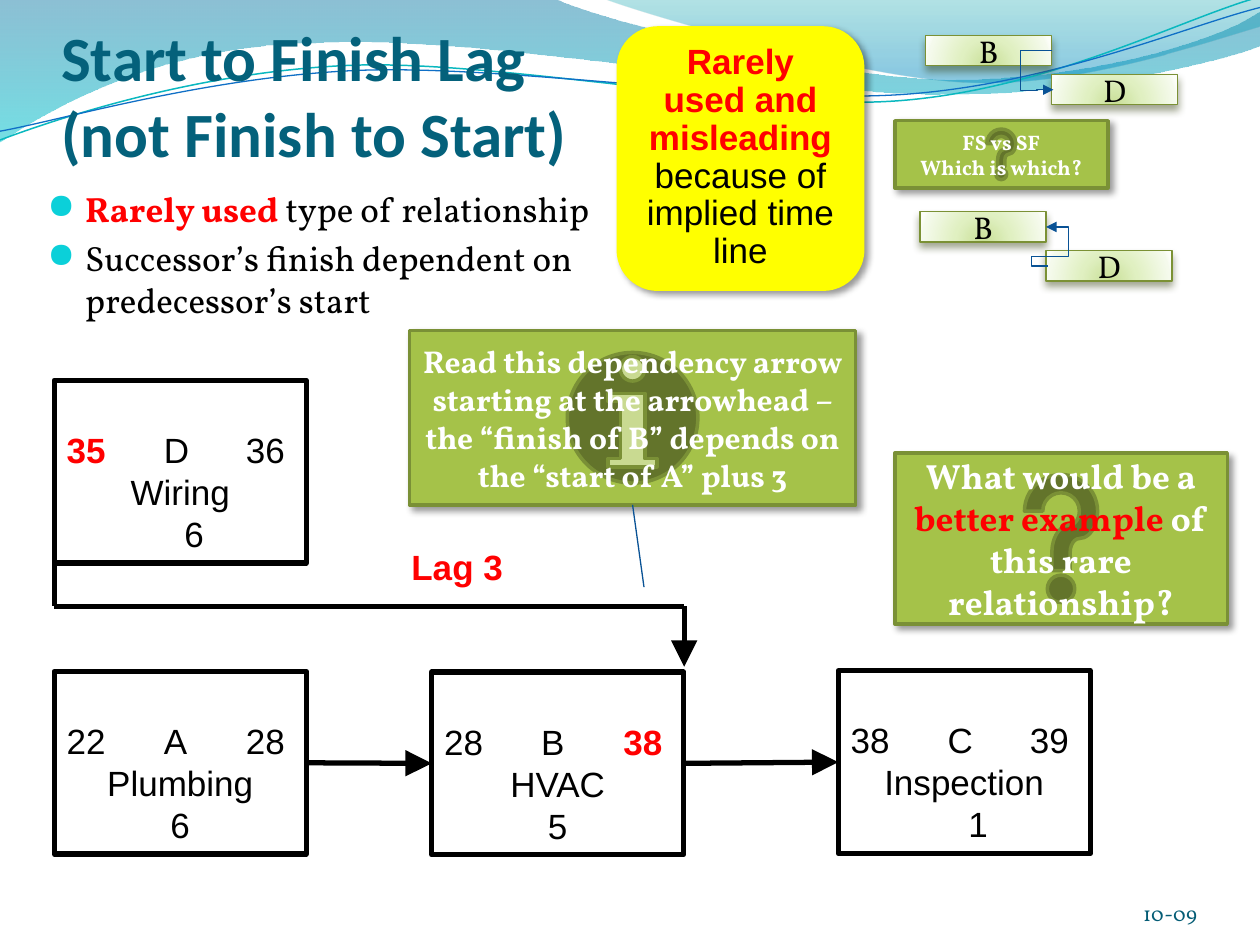
import dataclasses

import pptx
import pptx.dml.color
import pptx.enum.shapes
import pptx.enum.text
import pptx.oxml.ns
import pptx.util
from lxml import etree

Pt = pptx.util.Pt
qn = pptx.oxml.ns.qn
Shapes = pptx.enum.shapes.MSO_SHAPE
Connectors = pptx.enum.shapes.MSO_CONNECTOR
Align = pptx.enum.text.PP_ALIGN
Anchor = pptx.enum.text.MSO_ANCHOR


@dataclasses.dataclass(frozen=True)
class Theme:
    title: str = "04617B"
    number: str = "045C75"
    black: str = "000000"
    white: str = "FFFFFF"
    red: str = "FF0000"
    yellow: str = "FFFF00"
    green: str = "A5C249"
    green_edge: str = "7A9036"
    bar_edge: str = "7B9135"
    bar_shadow: str = "3A4519"
    bullet: str = "0BD0D9"
    thin_line: str = "095295"
    curve_teal: str = "0AB8BF"
    curve_blue: str = "0F6FC6"
    heading_font: str = "Calibri"
    body_font: str = "Vollkorn"
    plain_font: str = "Arial"
    heading: int = 36
    body: int = 20
    label: int = 18
    small: int = 12


THEME = Theme()
NODE_WIDTH, NODE_HEIGHT = 144, 104.4
# Gradient stops: position, colour, opacity
WAVE_LEFT = [(0, "0074A1", 45), (100, "00C6CF", 55)]
WAVE_RIGHT = [(0, "00A1A9", 30), (80, "008BBF", 45)]
BAR_STOPS = [(0, "C9DF97", 100), (43, "E0F0C1", 100), (93, "F5FAEC", 100), (100, "FCFEF8", 100)]


def rgb(value):
    return pptx.dml.color.RGBColor.from_string(value)


def child(parent, tag, **attributes):
    return etree.SubElement(parent, qn(tag), {k: str(v) for k, v in attributes.items()})


def set_gradient(shape, stops, radial=False):
    shape.fill.gradient()
    gradient = shape._element.spPr.find(qn("a:gradFill"))
    for part in list(gradient):
        gradient.remove(part)
    stop_list = child(gradient, "a:gsLst")
    for position, color, opacity in stops:
        stop = child(stop_list, "a:gs", pos=position * 1000)
        child(child(stop, "a:srgbClr", val=color), "a:alpha", val=opacity * 1000)
    if radial:
        circle = child(gradient, "a:path", path="circle")
        child(circle, "a:fillToRect", l=50000, t=130000, r=50000, b=-30000)
    else:
        child(gradient, "a:lin", ang=90 * 60000, scaled=1)


def set_shadow(shape, color=THEME.black, opacity=40, blur=4, angle=45):
    effects = shape._element.spPr.find(qn("a:effectLst"))
    shadow = child(effects, "a:outerShdw", blurRad=Pt(blur), dist=Pt(3),
                   dir=angle * 60000, algn="tl", rotWithShape=0)
    child(child(shadow, "a:srgbClr", val=color), "a:alpha", val=opacity * 1000)


def set_line(shape, color, width):
    shape.line.color.rgb = rgb(color)
    shape.line.width = Pt(width)


def write(box, paragraphs, font, size, align=Align.LEFT, anchor=Anchor.TOP, margins=None):
    """Fill a box; each paragraph is a list of (text, colour, bold)."""
    frame = box.text_frame
    frame.word_wrap = True
    frame.vertical_anchor = anchor
    if margins:
        (frame.margin_left, frame.margin_top,
         frame.margin_right, frame.margin_bottom) = map(Pt, margins)
    for index, spans in enumerate(paragraphs):
        para = frame.paragraphs[0] if index == 0 else frame.add_paragraph()
        para.alignment = align
        para.font.name, para.font.size = font, Pt(size)
        for text, color, bold in spans:
            if text == "\n":
                para.add_line_break()
                continue
            span = para.add_run()
            span.text = text
            span.font.color.rgb, span.font.bold = rgb(color), bold
    return frame.paragraphs


def add_text(page, place, *content, **options):
    return write(page.shapes.add_textbox(*map(Pt, place)), *content, **options)


def add_box(page, kind, place, edge=None, width=1, fill=None):
    shape = page.shapes.add_shape(kind, *map(Pt, place))
    shape.shadow.inherit = False
    if fill:
        shape.fill.solid()
        shape.fill.fore_color.rgb = rgb(fill)
    else:
        shape.fill.background()
    if edge:
        set_line(shape, edge, width)
    else:
        shape.line.fill.background()
    return shape


def add_node(page, left, top, early, name, late, task, days, critical="", shift=0):
    node = add_box(page, Shapes.RECTANGLE, (left, top, NODE_WIDTH, NODE_HEIGHT), THEME.black, 3)
    dates = [(text, THEME.red if text == critical else THEME.black, text == critical)
             for text in (early, f"\t{name}\t", late)]
    paras = write(node, [dates, [(task, THEME.black, False)], [(days, THEME.black, False)]],
                  THEME.plain_font, THEME.body, Align.CENTER, margins=(7.2, 27.5, 7.2, 3.6))
    paras[0].alignment = Align.LEFT
    tabs = etree.Element(qn("a:tabLst"))
    for position in (55.5, 102.5):
        child(tabs, "a:tab", pos=Pt(position), algn="l")
    paras[0]._p.get_or_add_pPr().insert(0, tabs)
    if shift:
        paras[2]._p.get_or_add_pPr().set("marL", str(Pt(shift)))
    return node


def add_bar(page, left, top, name):
    bar = add_box(page, Shapes.RECTANGLE, (left, top, 72, 17.3), THEME.bar_edge, 0.75)
    set_gradient(bar, BAR_STOPS, radial=True)
    set_shadow(bar, THEME.bar_shadow, 48, 4.5, 90)
    write(bar, [[(name, THEME.black, False)]], THEME.body_font, THEME.label,
          Align.CENTER, Anchor.MIDDLE)


def add_button(page, kind, place, paragraphs, size):
    button = add_box(page, kind, place, THEME.green_edge, 2, THEME.green)
    set_shadow(button)
    write(button, paragraphs, THEME.body_font, size, Align.CENTER, Anchor.MIDDLE)


def add_line(page, start, end, color=THEME.black, width=3, arrow=None, bends=None):
    kind = Connectors.ELBOW if bends else Connectors.STRAIGHT
    line = page.shapes.add_connector(kind, *map(Pt, start + end))
    set_line(line, color, width)
    if arrow:
        size = "med" if bends else "lg"
        child(line.line._get_or_add_ln(), arrow, type="triangle", w=size, len=size)
    child(line._element.spPr, "a:effectLst")
    if bends:
        preset = line._element.spPr.find(qn("a:prstGeom"))
        preset.set("prst", "bentConnector5")
        guides = preset.find(qn("a:avLst"))
        for number, bend in enumerate(bends, 1):
            child(guides, "a:gd", name=f"adj{number}", fmla=f"val {round(bend * 100000)}")
    return line


def join(page, left_node, right_node):
    line = add_line(page, (0, 0), (1, 1), arrow="a:tailEnd")
    line.begin_connect(left_node, 3)
    line.end_connect(right_node, 1)


def add_curve(page, start, segments, closed=False):
    """Draw straight (one point) and cubic (three points) segments."""
    points = [(Pt(x), Pt(y)) for segment in segments for x, y in segment]
    builder = page.shapes.build_freeform(Pt(start[0]), Pt(start[1]), scale=1.0)
    builder.add_line_segments(points, close=closed)
    curve = builder.convert_to_shape()
    curve.shadow.inherit = False
    # Gather each run of three points into one cubic segment
    steps = iter(list(curve._element.spPr.iter(qn("a:lnTo"))))
    for segment in segments:
        group = [next(steps) for _ in segment]
        if len(group) == 3:
            cubic = etree.Element(qn("a:cubicBezTo"))
            group[0].addprevious(cubic)
            for step in group:
                cubic.append(step[0])
                step.getparent().remove(step)
    return curve


def add_waves(page):
    left = add_curve(page, (0, -0.7), [
        [(317, -0.7)], [(343, 12), (478, 45.4), (546, 45.4)],
        [(614, 45.4), (690, 26.5), (720, 6.5)], [(720.7, 26)],
        [(708, 31.7), (626, 54.7), (537, 54)], [(448, 54), (275, 20), (185, 24.5)],
        [(93, 25), (33, 60), (-0.7, 81.4)]], closed=True)
    right = add_curve(page, (345, -0.7), [
        [(367, 8), (491, 44.6), (554, 46.8)], [(616, 49.7), (692, 23), (720, 15)],
        [(720, 0)]], closed=True)
    for wave, stops in ((left, WAVE_LEFT), (right, WAVE_RIGHT)):
        set_gradient(wave, stops)
        wave.line.fill.background()
    teal = add_curve(page, (0, 80), [
        [(34.6, 67), (114, 41), (199.4, 37.4)], [(284.4, 33.8), (427, 64), (513.4, 57.6)],
        [(600, 51), (675, 10.8), (718.6, -1.4)]])
    blue = add_curve(page, (0, 75), [
        [(33.8, 69), (118, 44), (203.8, 40.3)], [(290, 36.7), (430, 59.8), (516, 54)],
        [(602, 48), (677.5, 15), (720, 4.3)]])
    for curve, color, width in ((teal, THEME.curve_teal, 0.85), (blue, THEME.curve_blue, 0.75)):
        curve.fill.background()
        set_line(curve, color, width)


def add_bullets(page):
    paras = add_text(page, (20, 103.7, 397.5, 103), [
        [("Rarely used ", THEME.red, True), ("type of relationship", THEME.black, False)],
        [("Successor’s finish dependent on predecessor’s start", THEME.black, False)],
    ], THEME.body_font, THEME.body)
    for para in paras:
        properties = para._p.get_or_add_pPr()
        properties.set("marL", str(Pt(21.6)))
        properties.set("indent", str(Pt(-21.6)))
        color = etree.Element(qn("a:buClr"))
        child(color, "a:srgbClr", val=THEME.bullet)
        size = etree.Element(qn("a:buSzPct"), val="100000")
        mark = etree.Element(qn("a:buChar"), char="●")
        for index, part in enumerate((color, size, mark)):
            properties.insert(index, part)
    paras[1].space_before = Pt(4)


def add_network(page):
    plumbing = add_node(page, 31, 383.7, "22", "A", "28", "Plumbing", "6")
    hvac = add_node(page, 246.7, 384, "28", "B", "38", "HVAC", "5", critical="38")
    inspection = add_node(page, 479, 383.3, "38", "C", "39", "Inspection", "1", shift=16)
    join(page, hvac, inspection)
    add_node(page, 31, 217.3, "35", "D", "36", "Wiring", "6", critical="35", shift=16)
    join(page, plumbing, hvac)
    # Lag from the start of D to the finish of B
    add_text(page, (228, 308, 90, 22), [[("Lag 3", THEME.red, True)]],
             THEME.plain_font, THEME.body)
    add_line(page, (31, 346.5), (391, 346.5))
    add_line(page, (391, 346.5), (391, 381), arrow="a:tailEnd")
    add_line(page, (31, 321.5), (31, 346.5))


def add_comparison(page):
    for left, top, arrow, bends in ((525.8, 121, "a:tailEnd", (9.43, 0.25, -11.86)),
                                    (529, 20.3, "a:headEnd", (9.43, -0.02, 19))):
        add_bar(page, left, top, "B")
        add_bar(page, left + 72, top + 22.3, "D")
        add_line(page, (left + 73, top + 31), (left + 72, top + 8.7),
                 THEME.thin_line, 0.75, arrow, bends)


def main():
    deck = pptx.Presentation()
    deck.slide_width, deck.slide_height = Pt(720), Pt(540)
    page = deck.slides.add_slide(deck.slide_layouts[6])

    # Backdrop, title and bullets
    add_waves(page)
    add_text(page, (35, 7.2, 648, 90), [
        [("Start to Finish Lag", THEME.title, True), ("\n", THEME.title, True),
         ("(not Finish to Start)", THEME.title, True)],
    ], THEME.heading_font, THEME.heading, margins=(0, 3.6, 0, 0))
    add_bullets(page)

    # Activity network and page number
    add_network(page)
    add_text(page, (624, 500.3, 60, 28.8), [[("10-09", THEME.number, False)]], THEME.body_font,
             THEME.small, Align.RIGHT, Anchor.BOTTOM, (0, 0, 0, 0))

    # Warning and the two small relationship sketches
    warning = add_box(page, Shapes.ROUNDED_RECTANGLE, (352.3, 15, 141.7, 151.3), fill=THEME.yellow)
    set_shadow(warning)
    write(warning, [[("Rarely used and misleading ", THEME.red, True),
                     ("because of implied time line", THEME.black, False)]], THEME.plain_font,
          THEME.body, Align.CENTER, margins=(8.5, 3.6, 8.5, 3.6))[0].line_spacing = 0.9
    add_comparison(page)

    # Questions and explanation
    add_button(page, Shapes.ACTION_BUTTON_HELP, (511.3, 69, 121.7, 38.5),
               [[("FS vs SF", THEME.white, True)], [("Which is which?", THEME.white, True)]],
               THEME.small)
    add_button(page, Shapes.ACTION_BUTTON_HELP, (511.3, 259, 190, 97.5),
               [[("What would be a ", THEME.white, True), ("better example ", THEME.red, True),
                 ("of this rare relationship?", THEME.white, True)]], THEME.body)
    add_button(page, Shapes.ACTION_BUTTON_INFORMATION, (234, 189, 255, 99.5),
               [[("Read this dependency arrow starting at the arrowhead – the “finish of B” "
                  "depends on the “start of A” plus 3", THEME.white, True)]], THEME.label)
    add_line(page, (361.5, 288.5), (368, 335.5), THEME.thin_line, 0.75)

    deck.save("out.pptx")


if __name__ == "__main__":
    main()
